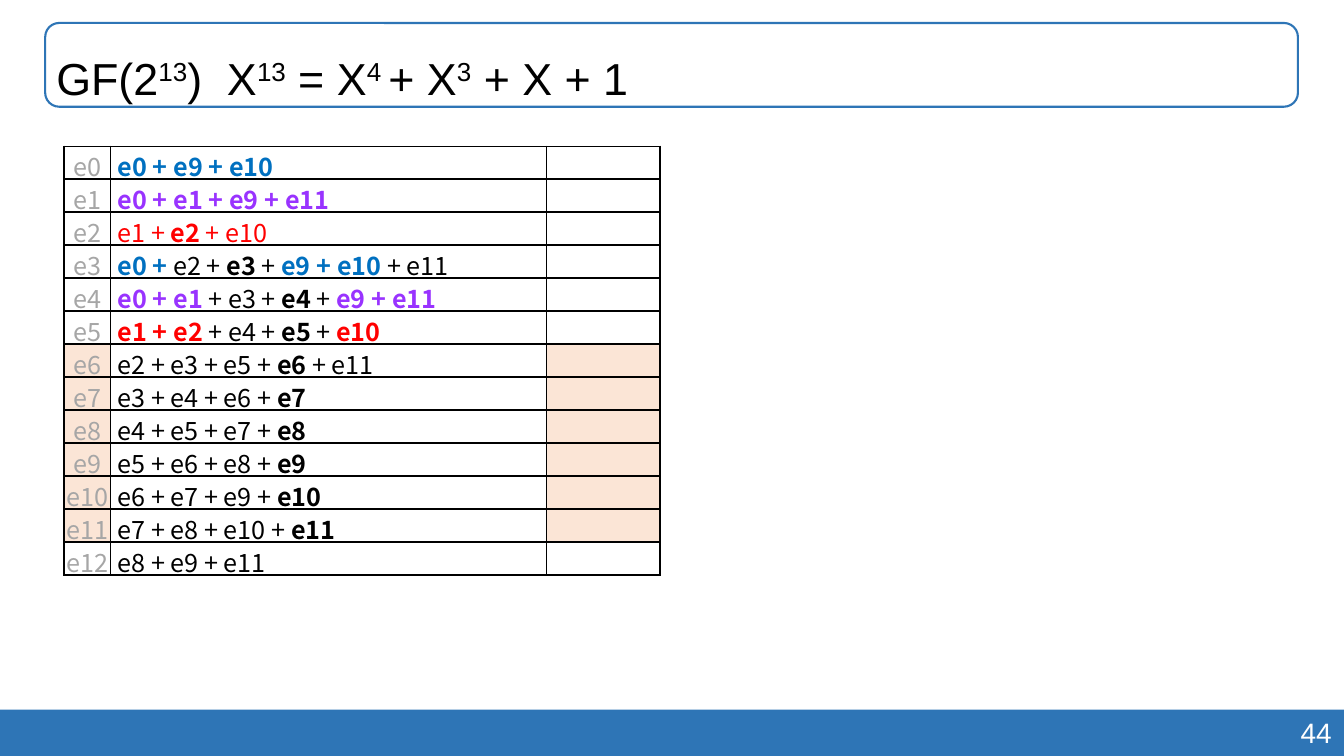
from lxml import etree
from pptx import Presentation
from pptx.dml.color import RGBColor
from pptx.enum import shapes, text
from pptx.oxml import ns
from pptx.util import Cm, Pt

BLACK = RGBColor(0x00, 0x00, 0x00)
WHITE = RGBColor(0xFF, 0xFF, 0xFF)
GRAY = RGBColor(0xA6, 0xA6, 0xA6)
BAR_BLUE = RGBColor(0x2E, 0x75, 0xB6)
BLUE = RGBColor(0x00, 0x70, 0xC0)
PURPLE = RGBColor(0x99, 0x33, 0xFF)
RED = RGBColor(0xFF, 0x00, 0x00)
PEACH = RGBColor(0xFB, 0xE5, 0xD6)


def add_run(paragraph, words, font_name, size, color, bold=False):
    run = paragraph.add_run()
    run.text = words
    run.font.name = font_name
    run.font.size = Pt(size)
    run.font.color.rgb = color
    run.font.bold = bold
    return run


def add_border(cell, side, width):
    """Draw one black cell edge; side is L, R, T or B."""
    line = etree.SubElement(cell._tc.get_or_add_tcPr(), ns.qn(f"a:ln{side}"), w=str(Pt(width)))
    fill = etree.SubElement(line, ns.qn("a:solidFill"))
    etree.SubElement(fill, ns.qn("a:srgbClr"), val=str(BLACK))


presentation = Presentation()
presentation.slide_width = Cm(33.87)
presentation.slide_height = Cm(19.05)
slide = presentation.slides.add_slide(presentation.slide_layouts[6])

# Footer bar and page number
bar = slide.shapes.add_shape(shapes.MSO_SHAPE.RECTANGLE, Cm(0), Cm(17.88), Cm(33.87), Cm(1.17))
bar.shadow.inherit = False
bar.fill.solid()
bar.fill.fore_color.rgb = BAR_BLUE
bar.line.fill.background()

number_box = slide.shapes.add_textbox(Cm(23.9), Cm(17.91), Cm(9.91), Cm(1.11))
number_box.text_frame.word_wrap = True
paragraph = number_box.text_frame.paragraphs[0]
paragraph.alignment = text.PP_ALIGN.RIGHT
add_run(paragraph, "44", "Arial", 20, WHITE)

# Title
frame = slide.shapes.add_shape(
    shapes.MSO_SHAPE.ROUNDED_RECTANGLE, Cm(1.14), Cm(0.58), Cm(31.57), Cm(2.11))
frame.shadow.inherit = False
frame.fill.background()
frame.line.color.rgb = BAR_BLUE
frame.line.width = Pt(1.5)

title = slide.shapes.add_textbox(Cm(1.17), Cm(0.56), Cm(31.57), Cm(2.11))
title.text_frame.word_wrap = True
title.text_frame.vertical_anchor = text.MSO_ANCHOR.MIDDLE
paragraph = title.text_frame.paragraphs[0]
paragraph.line_spacing = 1.5
title_parts = ["GF(2", "13", ")  X", "13", " = X", "4 ", "+ X", "3", " + X + 1"]
for index, part in enumerate(title_parts):
    run = add_run(paragraph, part, "Arial", 32, BLACK)
    if index % 2:
        run.font._element.set("baseline", "30000")

# Each row: the runs of its sum as (words, colour, bold)
sums = [
    [(" e0 + e9 + e10", BLUE, True)],
    [(" e0 + e1 + e9 + e11", PURPLE, True)],
    [(" e1 + ", RED, False), ("e2", RED, True), (" + e10", RED, False)],
    [(" e0 +", BLUE, True), (" e2 + ", BLACK, False), ("e3", BLACK, True),
     (" + ", BLACK, False), ("e9 + e10 ", BLUE, True), ("+ e11", BLACK, False)],
    [(" e0 + e1", PURPLE, True), (" + e3 + ", BLACK, False), ("e4", BLACK, True),
     (" + ", BLACK, False), ("e9 + e11", PURPLE, True)],
    [(" e1 + e2", RED, True), (" + e4 + ", BLACK, False), ("e5", BLACK, True),
     (" + ", BLACK, False), ("e10", RED, True)],
    [(" e2 + e3 + e5 + ", BLACK, False), ("e6", BLACK, True), (" + e11", BLACK, False)],
]
for k in range(7, 12):
    sums.append([(f" e{k - 4} + e{k - 3} + e{k - 1} + ", BLACK, False), (f"e{k}", BLACK, True)])
sums.append([(" e8 + e9 + e11", BLACK, False)])

column_widths = [Cm(1.17), Cm(10.97), Cm(2.87)]
row_height = Cm(0.83)
table = slide.shapes.add_table(
    len(sums), 3, Cm(1.62), Cm(3.69), sum(column_widths), row_height * len(sums)).table
table.first_row = False
table.horz_banding = False
for column, width in zip(table.columns, column_widths):
    column.width = width

for row_index, parts in enumerate(sums):
    table.rows[row_index].height = row_height
    label = [(f"e{row_index}", GRAY, False)]
    for column_index, runs in enumerate([label, parts, []]):
        cell = table.cell(row_index, column_index)
        cell.margin_left = cell.margin_right = cell.margin_top = Cm(0.03)
        cell.margin_bottom = Cm(0)
        cell.vertical_anchor = text.MSO_ANCHOR.MIDDLE
        add_border(cell, "L", 1.5 if column_index == 0 else 0.75)
        add_border(cell, "R", 1.5 if column_index == 2 else 0.75)
        add_border(cell, "T", 1.5)
        add_border(cell, "B", 1.5)
        if 6 <= row_index <= 11 and column_index != 1:
            cell.fill.solid()
            cell.fill.fore_color.rgb = PEACH
        else:
            cell.fill.background()
        paragraph = cell.text_frame.paragraphs[0]
        paragraph.font.size = Pt(18)
        if column_index == 0:
            paragraph.alignment = text.PP_ALIGN.CENTER
        for words, color, bold in runs:
            add_run(paragraph, words, "Noto Sans CJK KR", 18, color, bold)

presentation.save("out.pptx")
